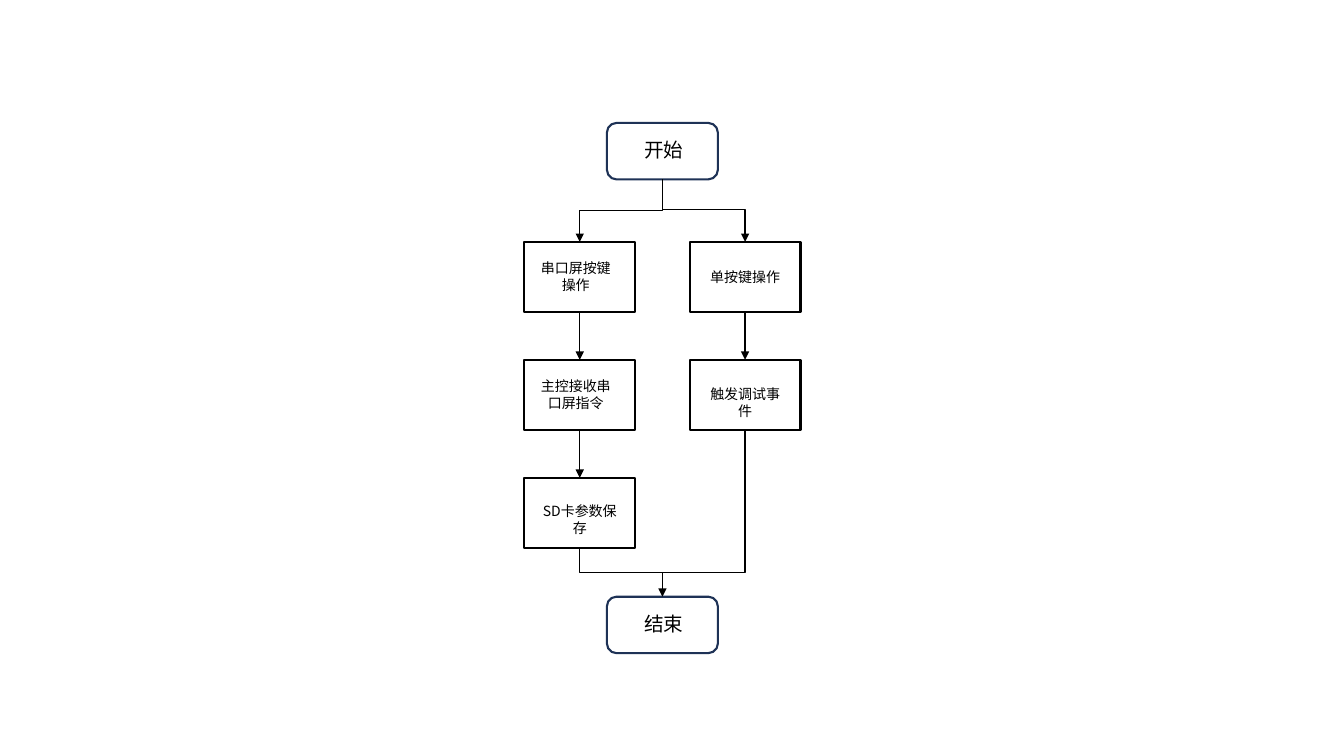
from lxml.etree import SubElement
from pptx import Presentation
from pptx.dml.color import RGBColor
from pptx.enum.shapes import MSO_CONNECTOR as Link, MSO_SHAPE as Shape
from pptx.enum.text import MSO_AUTO_SIZE as AutoSize, PP_ALIGN as Align
from pptx.oxml.ns import qn
from pptx.util import Inches, Pt

BLACK = RGBColor(0x00, 0x00, 0x00)
NAVY = RGBColor(0x1E, 0x32, 0x56)
FONT = "Noto Sans CJK SC"
BOX_W, STEP_H, END_H = 1.1, 0.7, 0.56
LEFT_X, MIDDLE_X, RIGHT_X = 5.2, 6.02, 6.84
FIRST_Y, ROW_GAP = 2.4, 1.17

deck = Presentation()
deck.slide_width, deck.slide_height = Inches(13.33), Inches(7.5)
page = deck.slides.add_slide(deck.slide_layouts[6])


def add_box(kind, x, y, height, color, label, label_x, label_y, label_w, size, align):
    box = page.shapes.add_shape(kind, Inches(x), Inches(y), Inches(BOX_W), Inches(height))
    box.shadow.inherit = False
    box.fill.background()
    box.line.color.rgb = color
    box.line.width = Pt(1.5)
    label_h = 0.34 if size == 14 else 0.44 if len(label) > 5 else 0.27
    caption = page.shapes.add_textbox(Inches(label_x), Inches(label_y),
                                      Inches(label_w), Inches(label_h))
    caption.text_frame.word_wrap = True
    caption.text_frame.auto_size = AutoSize.SHAPE_TO_FIT_TEXT
    para = caption.text_frame.paragraphs[0]
    para.alignment = align
    span = para.add_run()
    span.text = label
    span.font.size = Pt(size)
    span.font.color.rgb = BLACK
    span.font.name = FONT
    fonts = span.font._element
    SubElement(fonts, qn("a:ea")).set("typeface", FONT)
    return box


def style_link(link, arrow=True):
    link.line.color.rgb = BLACK
    link.line.width = Pt(1)
    if arrow:
        SubElement(link.line._get_or_add_ln(), qn("a:tailEnd")).set("type", "triangle")
    SubElement(link._element.spPr, qn("a:effectLst"))


# Start and end
for label, y in (("开始", 1.22), ("结束", 5.92)):
    add_box(Shape.ROUNDED_RECTANGLE, MIDDLE_X, y, END_H, NAVY, label,
            MIDDLE_X + 0.27, y + 0.1, 0.83, 14, Align.LEFT)

# Steps of each branch, with the offset of each label inside its box
branches = (
    (LEFT_X, (("串口屏按键操作", 0, 0.13), ("主控接收串口屏指令", 0, 0.13),
              ("SD卡参数保存", 0.04, 0.2))),
    (RIGHT_X, (("单按键操作", 0.04, 0.21), ("触发调试事件", 0.04, 0.21))),
)
for x, steps in branches:
    previous = None
    for row, (label, dx, dy) in enumerate(steps):
        y = FIRST_Y + row * ROW_GAP
        step = add_box(Shape.RECTANGLE, x, y, STEP_H, BLACK, label,
                       x + dx, y + dy, 1.02, 10, Align.CENTER)
        if previous is not None:
            arrow = page.shapes.add_connector(Link.STRAIGHT, 0, 0, 0, 0)
            arrow.begin_connect(previous, 2)
            arrow.end_connect(step, 0)
            style_link(arrow)
        previous = step

# Elbows that leave downwards: start, end, share of the height before the bend, arrow
left, middle, right = (x + BOX_W / 2 for x in (LEFT_X, MIDDLE_X, RIGHT_X))
elbows = (
    (middle, 1.78, left, FIRST_Y, 0.5, True),
    (middle, 2.08, right, FIRST_Y, 0, True),
    (left, 5.44, middle, 5.92, 0.5, True),
    (right, 4.27, middle, 5.68, 1, False),
)
for x1, y1, x2, y2, bend, arrow in elbows:
    # The frame lies on its side: its width is the drop, its height the sideways run
    center_x, center_y = (x1 + x2) / 2, (y1 + y2) / 2
    half_w, half_h = (y2 - y1) / 2, abs(x2 - x1) / 2
    side = 1 if x2 < x1 else -1
    elbow = page.shapes.add_connector(
        Link.ELBOW, Inches(center_x - side * half_w), Inches(center_y - half_h),
        Inches(center_x + side * half_w), Inches(center_y + half_h))
    frame = elbow._element.spPr.find(qn("a:xfrm"))
    frame.set("rot", str((90 if side == 1 else 270) * 60000))
    guides = elbow._element.spPr.find(qn("a:prstGeom")).find(qn("a:avLst"))
    guide = SubElement(guides, qn("a:gd"))
    guide.set("name", "adj1")
    guide.set("fmla", f"val {round(bend * 100000)}")
    style_link(elbow, arrow)

deck.save("out.pptx")
